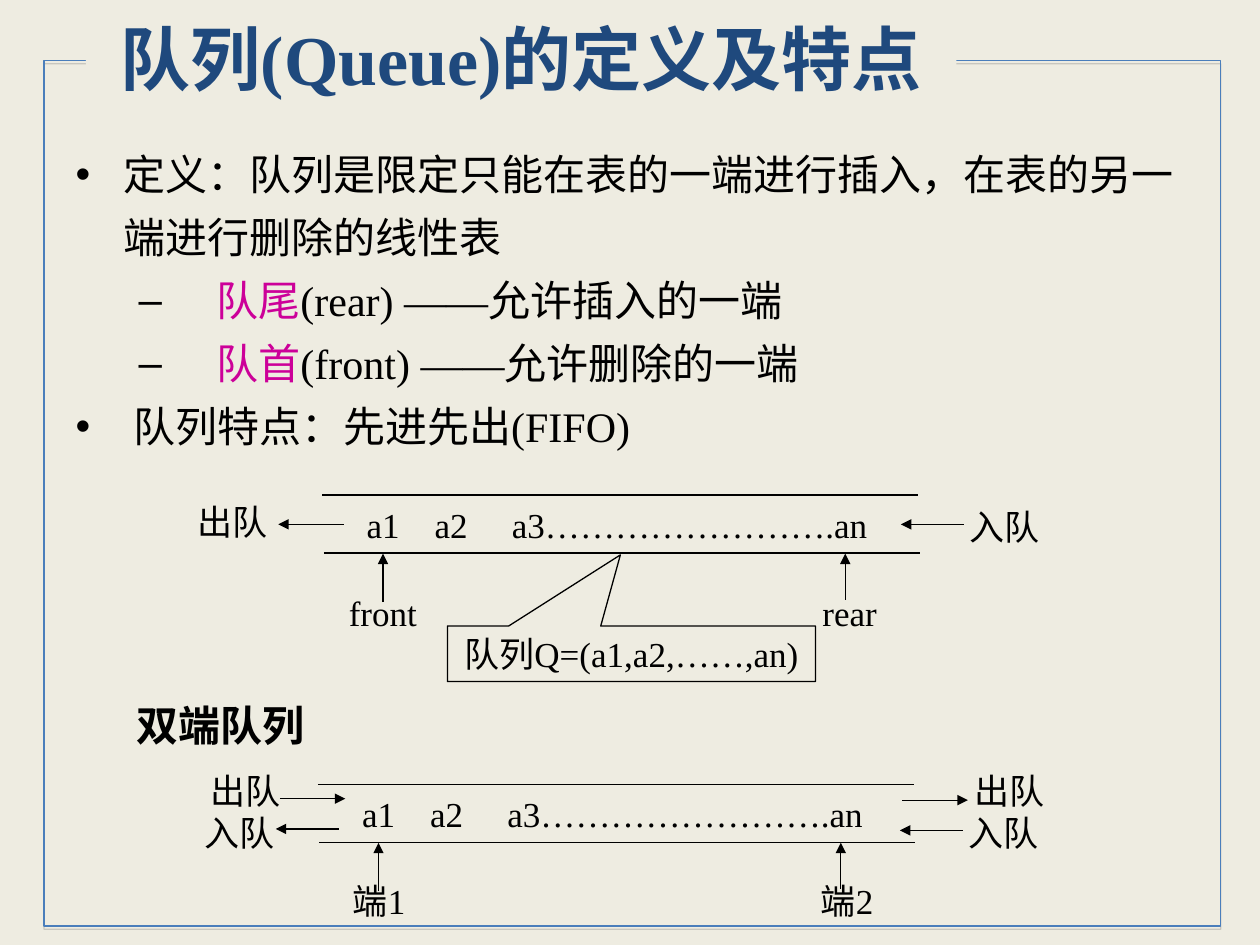
"""Build a slide that defines the queue and the double-ended queue."""
import pptx
import pptx.dml.color
import pptx.enum.shapes
import pptx.enum.text
import pptx.oxml
import pptx.oxml.ns
import pptx.util

Cm, Pt = pptx.util.Cm, pptx.util.Pt
RGB = pptx.dml.color.RGBColor.from_string
SHAPE = pptx.enum.shapes.MSO_SHAPE
ALIGN = pptx.enum.text.PP_ALIGN
ANCHOR = pptx.enum.text.MSO_ANCHOR
AUTO = pptx.enum.text.MSO_AUTO_SIZE
NS = pptx.oxml.ns.nsdecls("a")
THEME = {
    "font": "Times New Roman", "paper": "EEECE1", "title": "1F497D",
    "ink": "000000", "accent": "CC0099", "frame": "4A7EBB", "shadow": "808080",
    "title_size": 40, "body_size": 24, "label_size": 20, "line": 0.75,
}


def write(tf, text, size, color="ink", bold=False, align=ALIGN.CENTER, anchor=ANCHOR.MIDDLE, wrap=False):
    frame = {"word_wrap": wrap, "auto_size": AUTO.NONE, "vertical_anchor": anchor}
    for name, value in frame.items():
        setattr(tf, name, value)
    p = tf.paragraphs[0]
    p.alignment = align
    r = p.add_run()
    r.text = text
    for name, value in {"name": THEME["font"], "size": Pt(THEME[size]), "bold": bold}.items():
        setattr(r.font, name, value)
    r.font.color.rgb = RGB(THEME[color])
    return p


def draw_line(x1, y1, x2, y2, arrow=False):
    c = s.shapes.add_connector(pptx.enum.shapes.MSO_CONNECTOR.STRAIGHT, Cm(x1), Cm(y1), Cm(x2), Cm(y2))
    c.line.color.rgb = RGB(THEME["ink"])
    c.line.width = Pt(THEME["line"])
    if arrow:
        c.line._get_or_add_ln().append(pptx.oxml.parse_xml(f'<a:tailEnd {NS} type="triangle"/>'))
    c._element.spPr.append(pptx.oxml.parse_xml(f"<a:effectLst {NS}/>"))


prs = pptx.Presentation()
prs.slide_width, prs.slide_height = Cm(25.4), Cm(19.05)
s = prs.slides.add_slide(prs.slide_layouts[1])
s.background.fill.solid()
s.background.fill.fore_color.rgb = RGB(THEME["paper"])

frame = s.shapes.add_shape(SHAPE.RECTANGLE, Cm(0.89), Cm(1.22), Cm(23.72), Cm(17.45))
frame.fill.background()
frame.line.color.rgb = RGB(THEME["frame"])
frame.line.width = Pt(THEME["line"])
frame._element.spPr.append(pptx.oxml.parse_xml(
    f'<a:effectLst {NS}><a:outerShdw blurRad="0" dist="{Pt(1.8)}" dir="5400000">'
    f'<a:srgbClr val="{THEME["shadow"]}"><a:alpha val="35000"/></a:srgbClr></a:outerShdw></a:effectLst>'))
s.shapes._spTree.insert(2, frame._element)

title, body = s.shapes.title, s.placeholders[1]
for sp, box in ((title, (1.73, 0.08, 17.55, 2.16)), (body, (1.27, 2.62, 22.86, 12.57))):
    sp.left, sp.top, sp.width, sp.height = map(Cm, box)
title.fill.solid()
title.fill.fore_color.rgb = RGB(THEME["paper"])
write(title.text_frame, "队列(Queue)的定义及特点", "title_size", "title", True, wrap=True)

items = [
    (0, [("定义：队列是限定只能在表的一端进行插入，在表的另一端进行删除的线性表", "ink")]),
    (1, [("队尾", "accent"), ("(rear) ——允许插入的一端", "ink")]),
    (1, [("队首", "accent"), ("(front) ——允许删除的一端", "ink")]),
    (0, [(" 队列特点：先进先出(FIFO)", "ink")]),
]
levels = [("•", 0.97, -0.97), ("–", 2.84, -1.57)]
tf = body.text_frame
tf.auto_size = AUTO.NONE
for i, (level, runs) in enumerate(items):
    p = tf.paragraphs[0] if i == 0 else tf.add_paragraph()
    for name, value in {"level": level, "line_spacing": 1.25, "space_before": Pt(0)}.items():
        setattr(p, name, value)
    bullet, margin, indent = levels[level]
    pPr = p._p.get_or_add_pPr()
    pPr.set("marL", str(Cm(margin)))
    pPr.set("indent", str(Cm(indent)))
    pPr.append(pptx.oxml.parse_xml(f'<a:buClr {NS}><a:srgbClr val="{THEME["ink"]}"/></a:buClr>'))
    pPr.append(pptx.oxml.parse_xml(f'<a:buChar {NS} char="{bullet}"/>'))
    for text, color in runs:
        r = p.add_run()
        r.text = text
        r.font.name, r.font.size = THEME["font"], Pt(THEME["body_size"])
        r.font.color.rgb = RGB(THEME[color])

for dx, dy in ((0, 0), (-0.09, 5.83)):
    draw_line(6.5 + dx, 9.98 + dy, 18.51 + dx, 9.98 + dy)
    draw_line(6.53 + dx, 11.15 + dy, 18.54 + dx, 11.15 + dy)
    for x, y in ((7.72, 12.14), (17.04, 12.09)):
        draw_line(x + dx, y + dy, x + dx, 11.16 + dy, True)
    sp = s.shapes.add_textbox(Cm(7.14 + dx), Cm(10.01 + dy), Cm(10.77), Cm(1.12))
    p = write(sp.text_frame, "a1\ta2\ta3…………………….an", "label_size", align=ALIGN.LEFT)
    tabs = "".join(f'<a:tab pos="{Cm(pos)}" algn="l"/>' for pos in (1.37, 2.93))
    p._p.get_or_add_pPr().append(pptx.oxml.parse_xml(f"<a:tabLst {NS}>{tabs}</a:tabLst>"))

for x1, x2, y in (
    (19.43, 18.16, 10.57), (6.93, 5.61, 10.57),
    (19.41, 18.14, 16.74), (18.19, 19.51, 16.13),
    (6.83, 5.56, 16.71), (5.64, 6.96, 16.1),
):
    draw_line(x1, y, x2, y, True)

for text, x, y, width in (
    ("入队", 19.3, 10.06, 1.9), ("出队", 3.73, 9.96, 1.9),
    ("front", 6.78, 11.79, 1.88), ("rear", 16.33, 11.79, 1.6),
    ("端1", 6.78, 17.6, 1.73), ("端2", 16.21, 17.6, 1.73),
    ("入队", 19.28, 16.23, 1.9), ("出队", 19.41, 15.37, 1.9),
    ("入队", 3.89, 16.23, 1.9), ("出队", 4.01, 15.37, 1.9),
):
    sp = s.shapes.add_textbox(Cm(x), Cm(y), Cm(width), Cm(1.12))
    write(sp.text_frame, text, "label_size")

callout = s.shapes.add_shape(SHAPE.RECTANGULAR_CALLOUT, Cm(9.02), Cm(12.62), Cm(7.42), Cm(1.12))
callout.adjustments[0], callout.adjustments[1] = -0.03, -1.78
callout.shadow.inherit = False
callout.fill.background()
callout.line.color.rgb = RGB(THEME["ink"])
callout.line.width = Pt(THEME["line"])
write(callout.text_frame, "队列Q=(a1,a2,……,an)", "label_size")

sp = s.shapes.add_textbox(Cm(2.51), Cm(13.97), Cm(4.19), Cm(1.27))
write(sp.text_frame, "双端队列", "body_size", bold=True, align=ALIGN.LEFT, anchor=ANCHOR.TOP, wrap=True)

prs.save("out.pptx")
